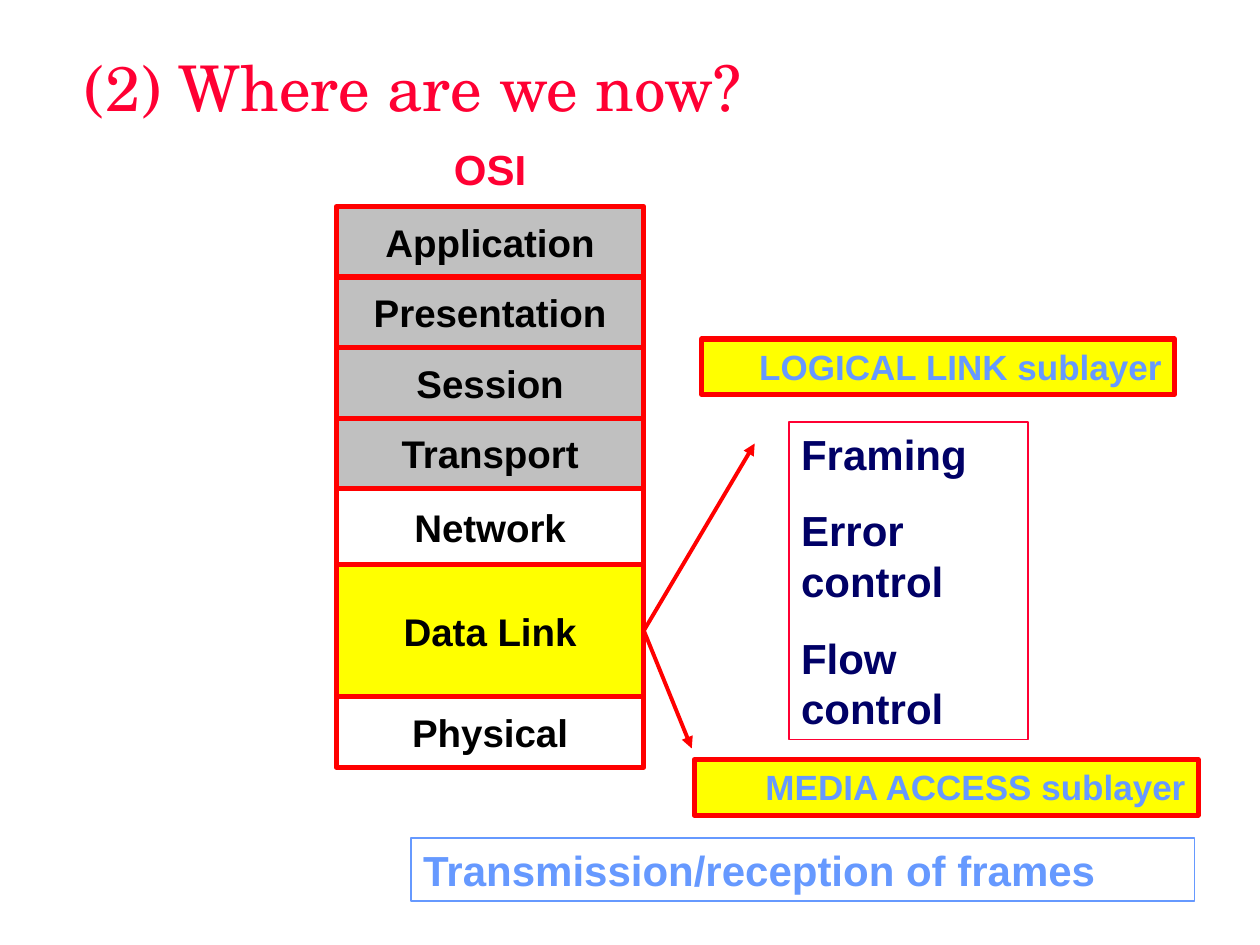
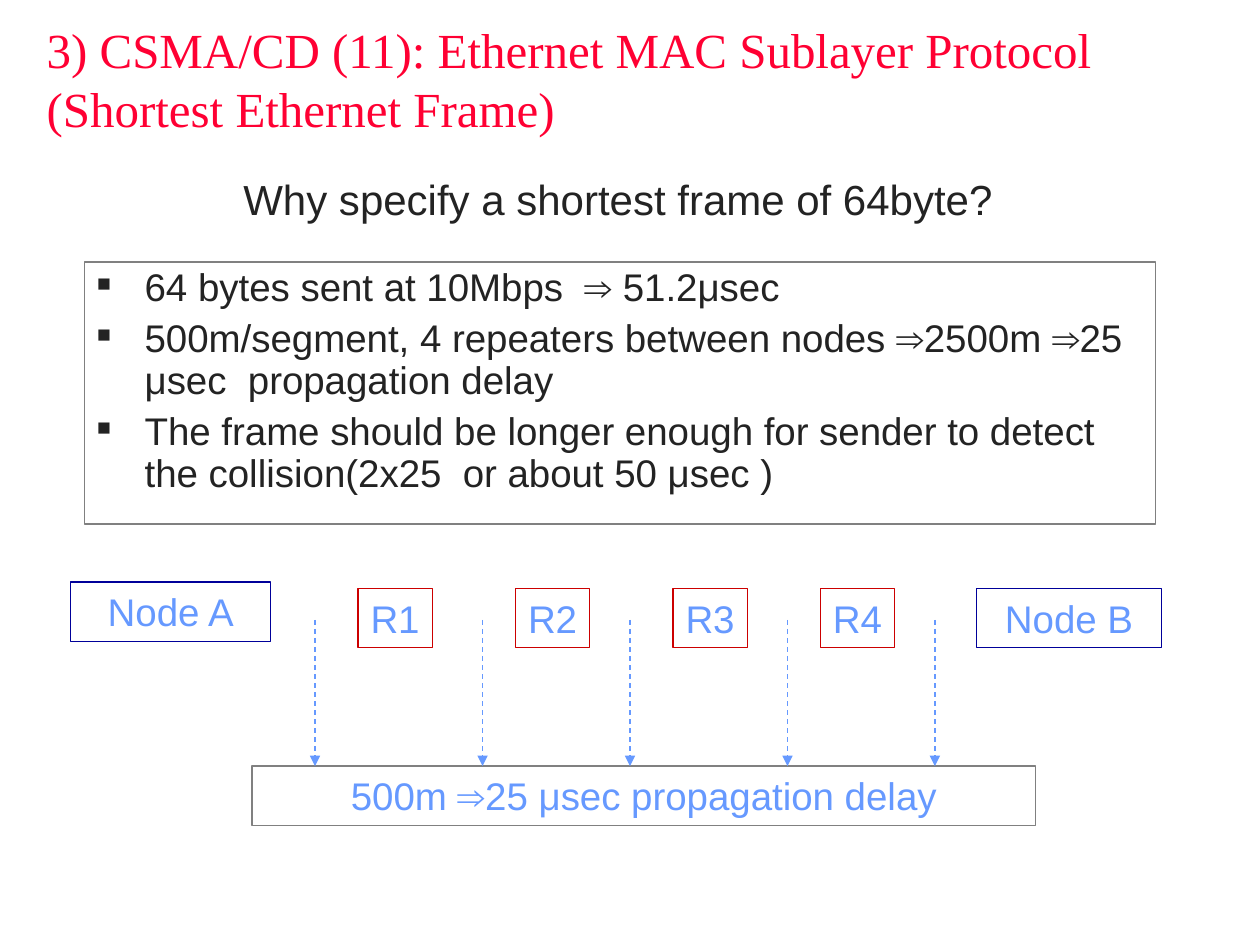
import pptx
import pptx.dml.color
import pptx.enum.dml
import pptx.enum.shapes
import pptx.enum.text
import pptx.oxml
import pptx.oxml.ns
import pptx.util
from lxml import etree

Inches, Pt = pptx.util.Inches, pptx.util.Pt
RGBColor = pptx.dml.color.RGBColor
ALIGN, ANCHOR = pptx.enum.text.PP_ALIGN, pptx.enum.text.MSO_ANCHOR
qn = pptx.oxml.ns.qn

TITLE_RED = RGBColor(0xFF, 0x00, 0x33)
RED = RGBColor(0xFF, 0x00, 0x00)
DARK_RED = RGBColor(0xCC, 0x00, 0x00)
YELLOW = RGBColor(0xFF, 0xFF, 0x00)
SILVER = RGBColor(0xC0, 0xC0, 0xC0)
GRAY = RGBColor(0x80, 0x80, 0x80)
WHITE = RGBColor(0xFF, 0xFF, 0xFF)
BLACK = RGBColor(0x00, 0x00, 0x00)
INK = RGBColor(0x23, 0x23, 0x23)
NAVY = RGBColor(0x00, 0x00, 0x66)
NODE_BLUE = RGBColor(0x00, 0x00, 0x99)
SKY = RGBColor(0x66, 0x99, 0xFF)


def style(p, size, color, bold=False, font="Arial", align=ALIGN.LEFT):
    """Format one paragraph."""
    p.alignment = align
    p.font.size, p.font.name, p.font.bold = Pt(size), font, bold
    p.font.color.rgb = color


def add_title_slide(prs, text, box, size, font):
    """Add a title-only slide with its title placed in box."""
    slide = prs.slides.add_slide(prs.slide_layouts[5])
    sp = slide.shapes.title
    sp.left, sp.top, sp.width, sp.height = map(Inches, box)
    tf = sp.text_frame
    tf.text, tf.word_wrap = text, True
    tf.auto_size = pptx.enum.text.MSO_AUTO_SIZE.NONE
    tf.vertical_anchor = ANCHOR.MIDDLE
    style(tf.paragraphs[0], size, TITLE_RED, font=font)
    return slide


def fill_text(sp, lines, size, color, bold=False, align=ALIGN.CENTER,
              anchor=ANCHOR.TOP, wrap=True, gap=0):
    """Write lines as paragraphs separated by gap points."""
    tf = sp.text_frame
    tf.word_wrap, tf.vertical_anchor = wrap, anchor
    tf.text = "\n".join(lines)
    for i, p in enumerate(tf.paragraphs):
        p.space_before = Pt(gap if i else 0)
        style(p, size, color, bold, align=align)


def add_label(slide, box, text, size, color, **text_format):
    """Add a plain one-line text box."""
    sp = slide.shapes.add_textbox(*map(Inches, box))
    fill_text(sp, [text], size, color, wrap=False, **text_format)


def add_box(slide, box, lines, size, color, line, width=0.75, fill=None, **text_format):
    """Add an outlined rectangle holding text."""
    sp = slide.shapes.add_shape(pptx.enum.shapes.MSO_SHAPE.RECTANGLE, *map(Inches, box))
    sp.shadow.inherit = False
    if fill is None:
        sp.fill.background()
    else:
        sp.fill.solid()
        sp.fill.fore_color.rgb = fill
    sp.line.color.rgb, sp.line.width = line, Pt(width)
    fill_text(sp, lines, size, color, **text_format)
    return sp


def add_arrow(slide, start, end, color, width, dashed=False):
    """Add a straight arrow from start to end."""
    cxn = slide.shapes.add_connector(
        pptx.enum.shapes.MSO_CONNECTOR.STRAIGHT, *map(Inches, (*start, *end)))
    cxn.line.color.rgb, cxn.line.width = color, Pt(width)
    if dashed:
        cxn.line.dash_style = pptx.enum.dml.MSO_LINE.DASH
    etree.SubElement(cxn.line._get_or_add_ln(), qn("a:tailEnd"), type="triangle")
    etree.SubElement(cxn._element.spPr, qn("a:effectLst"))
    return cxn


def add_bullets(sp, indent):
    """Give each paragraph a small square bullet and a hanging indent."""
    for p in sp.text_frame.paragraphs:
        p.line_spacing = 0.9
        pPr = p._p.get_or_add_pPr()
        pPr.set("marL", str(Inches(indent)))
        pPr.set("indent", str(-Inches(indent)))
        bu_color = etree.Element(qn("a:buClr"))
        etree.SubElement(bu_color, qn("a:srgbClr"), val=str(INK))
        bu_size = etree.Element(qn("a:buSzPct"), val="50000")
        bu_char = etree.Element(qn("a:buChar"), char="■")
        defaults = pPr.find(qn("a:defRPr"))
        for element in (bu_color, bu_size, bu_char):
            defaults.addprevious(element)


def osi_stack(slide, left, top, width):
    """Stack the seven OSI layers and return the data link box."""
    add_label(slide, (left, top - 0.58, width, 0.56), "OSI", 24, TITLE_RED,
              bold=True, anchor=ANCHOR.MIDDLE)
    layers = [(name, 0.56, SILVER)
              for name in ("Application", "Presentation", "Session", "Transport")]
    layers += [("Network", 0.6, WHITE), ("Data Link", 1.05, YELLOW), ("Physical", 0.56, WHITE)]
    boxes = {}
    for name, height, fill in layers:
        boxes[name] = add_box(slide, (left, top, width, height), [name], 22, BLACK, RED, 3,
                              fill, bold=True, anchor=ANCHOR.MIDDLE, wrap=False)
        top += height
    return boxes["Data Link"]


def sublayers(slide, left, top, data_link):
    """Place the two data link sublayers, their duties and the arrows to them."""
    add_box(slide, (left + 0.75, top + 0.66, 1.9, 2.52),
            ["Framing", "Error control", "Flow control"], 24, NAVY, TITLE_RED, 1,
            bold=True, align=ALIGN.LEFT, gap=15)
    add_box(slide, (left - 2.25, top + 3.96, 6.22, 0.5),
            ["Transmission/reception of frames"], 24, SKY, SKY, 1,
            bold=True, align=ALIGN.LEFT)
    for name, dx, dy, width in (("MEDIA ACCESS", 0, 3.34, 4), ("LOGICAL LINK", 0.06, 0, 3.75)):
        add_box(slide, (left + dx, top + dy, width, 0.44), [name + " sublayer"], 20, SKY,
                RED, 3, YELLOW, bold=True, align=ALIGN.RIGHT)
    for dx, dy in ((0.48, 0.83), (-0.02, 3.25)):
        cxn = add_arrow(slide, (left - 0.38, top + 2.32), (left + dx, top + dy), RED, 2.25)
        cxn.begin_connect(data_link, 3)


def frame_question(slide, left, top, width):
    """Place the question and the boxed reasons below it."""
    add_label(slide, (left + 1.16, top, 6.15, 0.5),
              "Why specify a shortest frame of 64byte?", 24, INK)
    sp = add_box(slide, (left, top + 0.75, width, 2.08), [
        "64 bytes sent at 10Mbps  ⇒ 51.2μsec",
        "500m/segment, 4 repeaters between nodes ⇒2500m ⇒25 μsec  propagation delay",
        "The frame should be longer enough for sender to detect "
        "the collision(2x25  or about 50 μsec )",
    ], 22, INK, GRAY, align=ALIGN.LEFT, gap=5.5)
    add_bullets(sp, 0.38)


def repeater_chain(slide, left, top):
    """Place two nodes, four repeaters and the delay of each segment."""
    height = 0.47
    for name, dx, dy, width in (("Node A", 0, 0, 1.59), ("Node B", 7.19, 0.05, 1.47)):
        add_box(slide, (left + dx, top + dy, width, height), [name], 22, SKY, NODE_BLUE)
    for i, dx in enumerate((2.28, 3.53, 4.78, 5.95), 1):
        add_box(slide, (left + dx, top + 0.05, 0.59, height), [f"R{i}"], 22, SKY, DARK_RED,
                fill=WHITE, wrap=False)
    add_box(slide, (left + 1.44, top + 1.46, 6.22, height),
            ["500m ⇒25 μsec propagation delay"], 22, SKY, GRAY)
    for dx in (1.94, 3.27, 4.44, 5.69, 6.86):
        add_arrow(slide, (left + dx, top + 0.3), (left + dx, top + 1.46), SKY, 0.75, True)


def main():
    """Build both slides and save them."""
    prs = pptx.Presentation()
    prs.slide_width, prs.slide_height = Inches(10), Inches(7.5)

    slide = add_title_slide(prs, "(2) Where are we now?", (0.57, 0, 8.96, 1.37),
                            36, "TeX Gyre Schola")
    data_link = osi_stack(slide, 2.67, 1.64, 2.44)
    sublayers(slide, 5.51, 2.69, data_link)

    slide = add_title_slide(
        prs, "3) CSMA/CD (11): Ethernet MAC Sublayer Protocol (Shortest Ethernet Frame)",
        (0.27, 0, 9.24, 1.25), 28, "Times New Roman")
    frame_question(slide, 0.67, 1.33, 8.5)
    repeater_chain(slide, 0.56, 4.62)

    prs.save("out.pptx")


if __name__ == "__main__":
    main()
